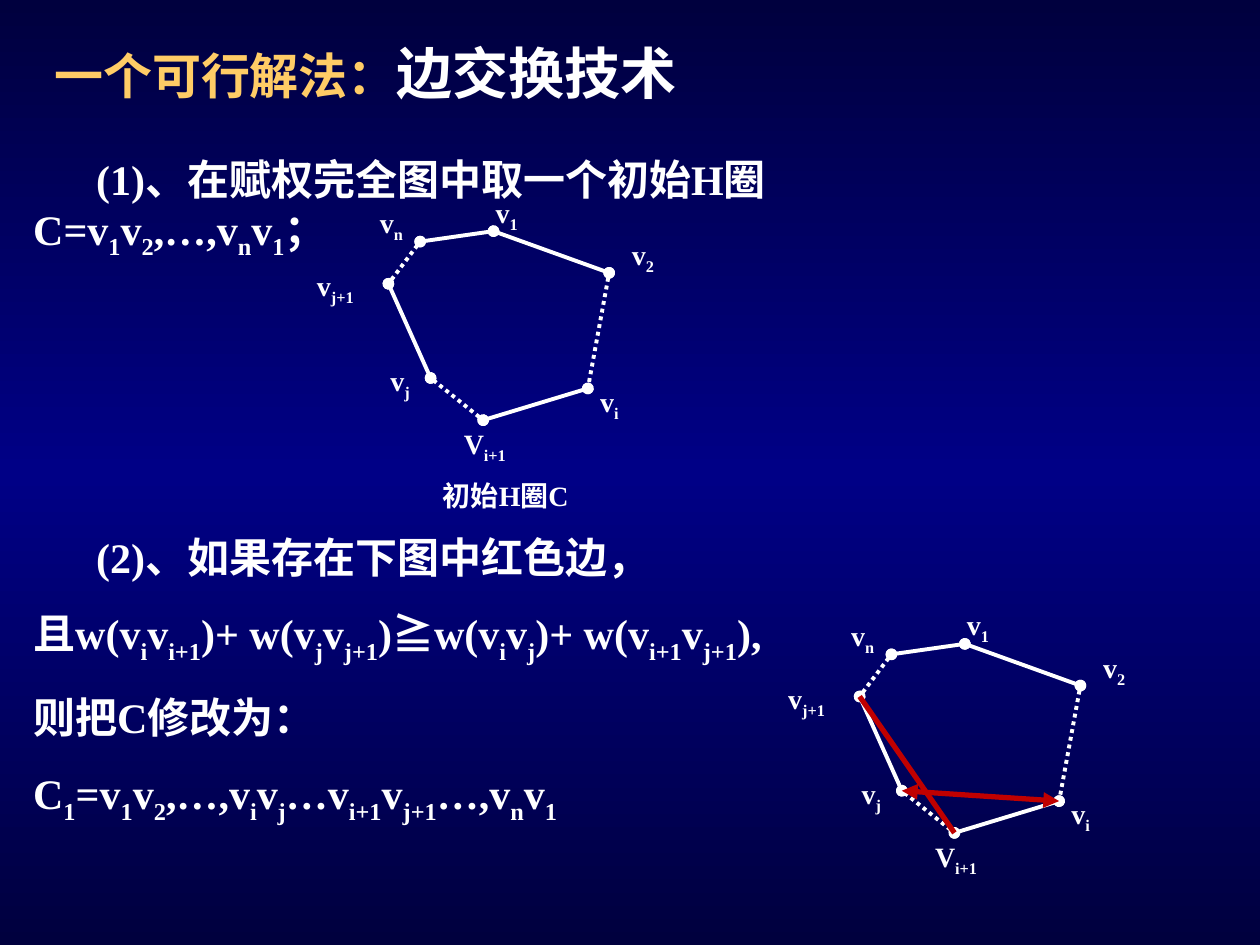
from copy import deepcopy

from pptx import Presentation
from pptx.dml.color import RGBColor
from pptx.enum.dml import MSO_LINE
from pptx.enum.shapes import MSO_CONNECTOR
from pptx.enum.text import MSO_ANCHOR, MSO_AUTO_SIZE, PP_ALIGN
from pptx.oxml.ns import qn
from pptx.util import Cm, Pt

STRAIGHT = MSO_CONNECTOR.STRAIGHT
DOTTED = MSO_LINE.ROUND_DOT
TOP, LEFT = MSO_ANCHOR.TOP, PP_ALIGN.LEFT
FIT_SHAPE, NO_FIT = MSO_AUTO_SIZE.SHAPE_TO_FIT_TEXT, MSO_AUTO_SIZE.NONE

COLORS = {"edge": "00003E", "middle": "000086", "text": "FFFFFF",
          "gold": "FFCC66", "red": "C00000"}
LATIN, CJK = "Times New Roman", "Noto Sans CJK SC"
INDENT = 1.27

# Text between bars is subscript.
TITLE = [("一个可行解法：", 28, "gold"), ("边交换技术", 32, "text")]
STEP_1 = ["(1)、在赋权完全图中取一个初始H圈\vC=v|1|v|2|,…,v|n|v|1|；"]
STEP_2 = [
    "(2)、如果存在下图中红色边，",
    "且w(v|i|v|i+1|)+ w(v|j|v|j+1|)≧w(v|i|v|j|)+ w(v|i+1|v|j+1|),",
    "则把C修改为：",
    "C|1|=v|1|v|2|,…,v|i|v|j|…v|i+1|v|j+1|…,v|n|v|1|",
]
CAPTION = "初始H圈C"

# Cycle order: label, vertex, label corner, label width (cm)
VERTICES = [
    ("v|1|", (9.95, 4.66), (9.74, 3.81), 1.32),
    ("v|2|", (12.28, 5.5), (12.49, 4.66), 1.32),
    ("v|i|", (11.85, 7.83), (11.85, 7.62), 1.32),
    ("V|i+1|", (9.74, 8.47), (9.1, 8.47), 1.9),
    ("v|j|", (8.68, 7.62), (7.62, 7.2), 1.32),
    ("v|j+1|", (7.83, 5.72), (6.14, 5.29), 1.95),
    ("v|n|", (8.47, 4.87), (7.41, 4.02), 1.32),
]
SECOND_OFFSET = (9.5, 8.32)
# Exchanged edges: vertex indexes, end marker
RED_EDGES = [(4, 2, "triangle"), (5, 3, None)]


def rgb(name):
    return RGBColor.from_string(COLORS[name])


def style_run(r, size, color):
    r.font.size, r.font.bold, r.font.name = Pt(size), True, LATIN
    r.font.color.rgb = rgb(color)
    ea = r._r.get_or_add_rPr().makeelement(qn("a:ea"), {"typeface": CJK})
    r.font._element.find(qn("a:latin")).addnext(ea)


def add_marked_runs(p, text, size):
    """Add runs, lowering each part that stands between bars."""
    for i, part in enumerate(text.split("|")):
        for j, line in enumerate(part.split("\v")):
            if j:
                p.add_line_break()
            before, sign, after = line.partition("≧")
            for piece in filter(None, (before, sign, after)):
                r = p.add_run()
                r.text = piece
                style_run(r, size, "text")
                if piece == "≧":
                    r.font.name = CJK
                if i % 2:
                    r.font._element.set("baseline", "-25000")


def add_text(shapes, paragraphs, x, y, w, h, size, indent=0):
    box = shapes.add_textbox(Cm(x), Cm(y), Cm(w), Cm(h))
    tf = box.text_frame
    tf.word_wrap, tf.auto_size = True, FIT_SHAPE
    for i, text in enumerate(paragraphs):
        p = tf.add_paragraph() if i else tf.paragraphs[0]
        if i:
            p.space_before = Pt(15)
        elif indent:
            p._p.get_or_add_pPr().set("indent", str(Cm(indent)))
        add_marked_runs(p, text, size)


def add_edge(shapes, start, end, color, width, marker, dotted=False):
    c = shapes.add_connector(STRAIGHT, *(Cm(v) for v in start + end))
    c.line.color.rgb, c.line.width = rgb(color), Pt(width)
    if dotted:
        c.line.dash_style = DOTTED
    ln = c.line._get_or_add_ln()
    if marker:
        for tag in ("a:headEnd", "a:tailEnd"):
            ln.append(ln.makeelement(qn(tag), {"type": marker}))
    ln.addnext(ln.makeelement(qn("a:effectLst"), {}))


def add_cycle(s, offset=(0, 0), red_edges=(), caption=None):
    shapes = s.shapes.add_group_shape().shapes
    dx, dy = offset
    points = [(x + dx, y + dy) for _, (x, y), _, _ in VERTICES]
    for i, start in enumerate(points):
        end = points[(i + 1) % len(points)]
        add_edge(shapes, start, end, "text", 2.25, "oval", dotted=i % 2 == 1)
    for label, _, (x, y), w in VERTICES:
        add_text(shapes, [label], x + dx, y + dy, w, 1.04, 16)
    for a, b, marker in red_edges:
        add_edge(shapes, points[a], points[b], "red", 3, marker)
    if caption:
        add_text(shapes, [caption], 8.68 + dx, 9.53 + dy, 4.23, 0.94, 16)


def set_background(s):
    fill = s.background.fill
    fill.gradient()
    fill.gradient_angle = 270
    first = s._element.find(".//" + qn("a:gsLst"))[0]
    first.addnext(deepcopy(first))
    stops = zip(fill.gradient_stops, (0, 0.5, 1), ("edge", "middle", "edge"))
    for stop, position, color in stops:
        stop.position, stop.color.rgb = position, rgb(color)


def add_title(s):
    title = s.shapes.title
    title.left, title.top = Cm(0.84), Cm(0.64)
    title.width, title.height = Cm(17.86), Cm(3.68)
    tf = title.text_frame
    tf.word_wrap, tf.auto_size, tf.vertical_anchor = True, NO_FIT, TOP
    p = tf.paragraphs[0]
    p.alignment = LEFT
    p.space_before = Pt(0)
    for text, size, color in TITLE:
        r = p.add_run()
        r.text = text
        style_run(r, size, color)


def main():
    prs = Presentation()
    prs.slide_width, prs.slide_height = Cm(25.4), Cm(19.05)
    s = prs.slides.add_slide(prs.slide_layouts[5])
    set_background(s)
    add_title(s)
    add_text(s.shapes, STEP_1, 0.42, 2.96, 22.02, 2.44, 24, INDENT)
    add_text(s.shapes, STEP_2, 0.42, 10.58, 23.28, 6.2, 24, INDENT)
    add_cycle(s, caption=CAPTION)
    add_cycle(s, SECOND_OFFSET, RED_EDGES)
    prs.save("out.pptx")


if __name__ == "__main__":
    main()
